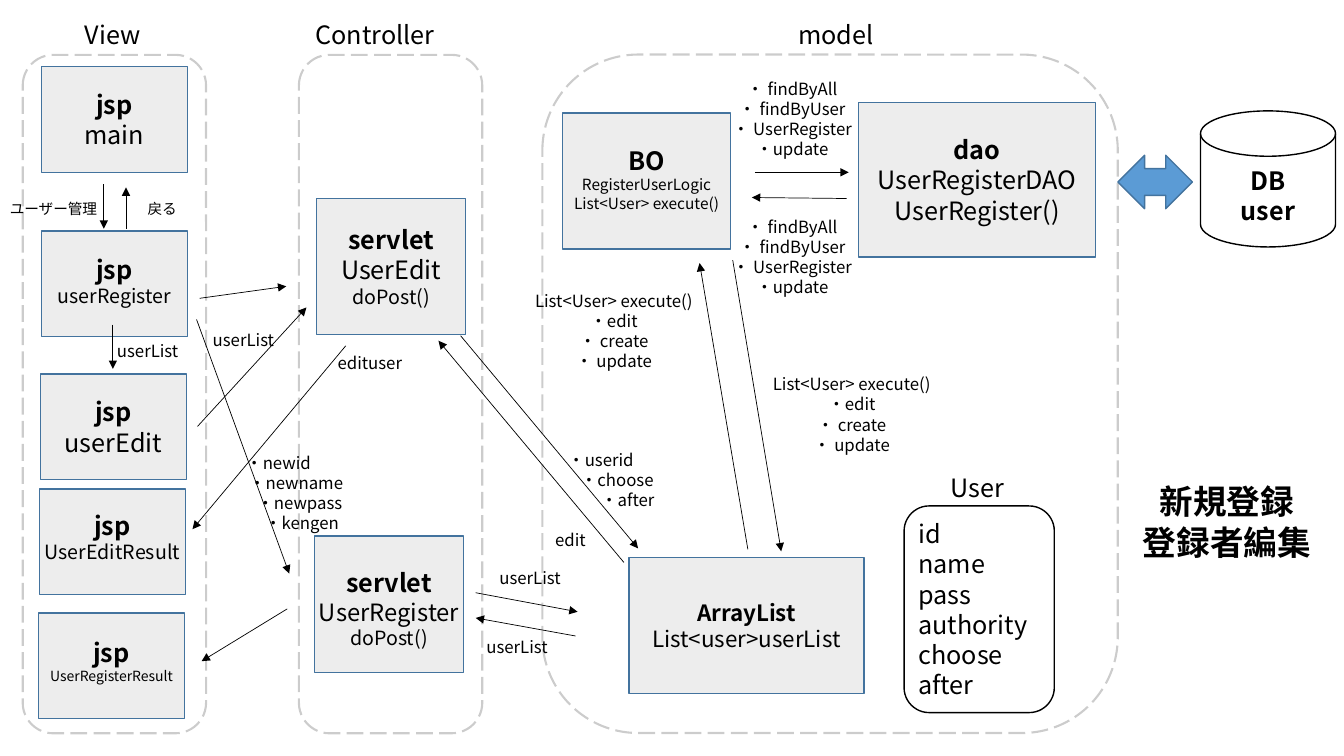
from lxml.etree import SubElement
from pptx import Presentation
from pptx.dml.color import RGBColor
from pptx.enum.dml import MSO_LINE
from pptx.enum.shapes import MSO_CONNECTOR, MSO_SHAPE
from pptx.enum.text import MSO_ANCHOR, PP_ALIGN
from pptx.oxml.ns import qn
from pptx.util import Pt

FONT = "Noto Sans CJK JP"
BLACK, GREY, BLUE, EDGE = "000000", "EDEDED", "5B9BD5", "43739E"
LINE_RATIO = 1.2
FRAME = {"margin_left": 0, "margin_right": 0, "margin_top": 0, "margin_bottom": 0,
         "word_wrap": True}
DAO_CALLS = ["・ findByAll", "・ findByUser", "・ UserRegister", "・update"]
LOGIC_CALLS = ["List<User> execute()", "・edit", "・ create", "・ update"]

ARROWS = [
    (74.2, 131.8, 74.2, 163.4), (90, 163.4, 90, 133.9), (80.6, 231.8, 80.6, 263.5),
    (142.6, 213.1, 204.5, 204.5), (140.4, 228.2, 206.6, 409.7), (141.1, 304.6, 218.9, 219.6),
    (247, 247, 137.5, 378), (205.2, 434.9, 144, 472.3), (339.8, 423.4, 412.6, 437),
    (411.1, 454.3, 339.8, 441.4), (445.7, 401.8, 313.2, 243.4), (329, 239.8, 455.8, 391.7),
    (534.2, 392.4, 499.7, 187.9), (523.4, 185.8, 558, 393.8), (539.3, 123.1, 606.2, 123.1),
    (604.8, 141.8, 537.1, 141.1),
]
LABELS = [
    (38.2, 142.6, 10.5, ["ユーザー管理"]), (115.9, 142.6, 10.5, ["戻る"]),
    (105.5, 243.4, 12, ["userList"]), (173.9, 235.4, 12, ["userList"]),
    (264.2, 252, 12, ["edituser"]), (378.7, 405.4, 12, ["userList"]),
    (369.4, 455, 12, ["userList"]), (407.5, 378.7, 12, ["edit"]),
    (565.9, 56.2, 12, DAO_CALLS), (565.9, 154.8, 12, DAO_CALLS),
    (438.5, 207.4, 12, LOGIC_CALLS), (608.4, 267.1, 12, LOGIC_CALLS),
]
STEPPED_LABELS = [
    (175.7, 323.3, [("・newid", 0), ("・newname", 2), ("・newpass", 8), ("・kengen", 13.5)]),
    (405.7, 321.1, [("・userid", 0), ("・choose", 9), ("・after", 23.5)]),
]


def color(value):
    """Turn a hex string into a colour."""
    return RGBColor.from_string(value)


def apply(target, formats):
    """Set every format value on the target."""
    for key, value in formats.items():
        setattr(target, key, value)


def write(frame, lines, align=PP_ALIGN.CENTER, **formats):
    """Fill a text frame with lines of (text, size, bold, indent)."""
    apply(frame, {**FRAME, **formats})
    for index, (text, size, bold, indent) in enumerate(lines):
        paragraph = frame.add_paragraph() if index else frame.paragraphs[0]
        apply(paragraph, {"alignment": align, "line_spacing": Pt(LINE_RATIO * size),
                          "space_before": Pt(0), "space_after": Pt(0)})
        if indent:
            paragraph._p.get_or_add_pPr().set("marL", str(Pt(indent)))
        run = paragraph.add_run()
        run.text = text
        apply(run.font, {"name": FONT, "size": Pt(size), "bold": bold})
        run.font.color.rgb = color(BLACK)
        SubElement(run._r.get_or_add_rPr(), qn("a:ea"), typeface=FONT)


def plain(texts, size):
    """Make regular lines of one size."""
    return [(text, size, False, 0) for text in texts]


def add_box(slide, kind, bounds, fill=None, edge=BLACK, width=1):
    """Add a preset shape with a flat fill and outline."""
    shape = slide.shapes.add_shape(kind, *map(Pt, bounds))
    shape.shadow.inherit = False
    if fill:
        shape.fill.solid()
        shape.fill.fore_color.rgb = color(fill)
    else:
        shape.fill.background()
    shape.line.color.rgb = color(edge)
    shape.line.width = Pt(width)
    return shape


def add_text(slide, bounds, lines, align=PP_ALIGN.CENTER):
    """Add a free text box."""
    write(slide.shapes.add_textbox(*map(Pt, bounds)).text_frame, lines, align)


def add_component(slide, bounds, heading, details, heading_size=18, lift=0):
    """Add a grey component with a bold heading and its details."""
    component = add_box(slide, MSO_SHAPE.RECTANGLE, bounds, GREY, EDGE)
    lines = [(heading, heading_size, True, 0)]
    lines += [(text, size, False, 0) for text, size in details]
    write(component.text_frame, lines, vertical_anchor=MSO_ANCHOR.MIDDLE,
          margin_bottom=Pt(2 * lift))


def add_layer(slide, box, name, name_left):
    """Add the dashed outline of a layer and its name above it."""
    left, top = box[:2]
    outline = add_box(slide, MSO_SHAPE.FLOWCHART_ALTERNATE_PROCESS, box, width=1.5)
    outline.line.dash_style = MSO_LINE.LONG_DASH
    tint = outline.line._ln.find(".//" + qn("a:srgbClr"))
    SubElement(tint, qn("a:alpha"), val="20000")
    add_text(slide, (left + name_left, top - 25.5, 110, 22), plain([name], 18), PP_ALIGN.LEFT)


def add_view(slide, box):
    """Place the JSP pages of the view layer."""
    left, top = box[:2]
    add_layer(slide, box, "View", 44.3)
    pages = [("main", 18, 13.3, 8.3, 0), ("userRegister", 14, 13.3, 125.7, 2),
             ("userEdit", 18, 12.6, 227.9, 0), ("UserEditResult", 14, 11.9, 310, 3.5),
             ("UserRegisterResult", 10, 11.2, 398.6, 3.5)]
    for name, size, x, y, lift in pages:
        add_component(slide, (left + x, top + y, 104.4, 75.6), "jsp", [(name, size)], lift=lift)


def add_controller(slide, box):
    """Place the servlets of the controller layer."""
    left, top = box[:2]
    add_layer(slide, box, "Controller", 11.9)
    for name, size, x, y, lift in [("UserEdit", 18, 12.6, 102.6, 0),
                                   ("UserRegister", 17, 11.1, 343.8, -3)]:
        add_component(slide, (left + x, top + y, 106.6, 97.2), "servlet",
                      [(name, size), ("doPost()", 14)], lift=lift)


def add_model(slide, box):
    """Place the logic, the data access and the user entity of the model layer."""
    left, top = box[:2]
    add_layer(slide, box, "model", 182.8)
    add_component(slide, (left + 14.4, top + 41.6, 120.2, 97.2), "BO",
                  [("RegisterUserLogic", 11), ("List<User> execute()", 11)], lift=1.5)
    add_component(slide, (left + 226, top + 34.4, 169.2, 110.2), "dao",
                  [("UserRegisterDAO", 18), ("UserRegister()", 18)])
    add_component(slide, (left + 61.9, top + 359.2, 167.8, 97.2), "ArrayList",
                  [("List<user>userList", 16)], heading_size=16)
    add_text(slide, (left + 258.4, top + 298.7, 105.2, 22), plain(["User"], 18))
    user = add_box(slide, MSO_SHAPE.ROUNDED_RECTANGLE, (left + 258.4, top + 322.4, 107.3, 147.6))
    fields = ["id", "name", "pass", "authority", "choose", "after"]
    write(user.text_frame, plain(fields, 18), PP_ALIGN.LEFT,
          vertical_anchor=MSO_ANCHOR.MIDDLE, margin_left=Pt(5))


def add_database(slide, box):
    """Place the database and the two-way arrow leading to it."""
    left, top, width, height = box
    add_box(slide, MSO_SHAPE.LEFT_RIGHT_ARROW, (left, top + 31.7, 53.3, 38.2), BLUE, EDGE)
    disk = add_box(slide, MSO_SHAPE.FLOWCHART_MAGNETIC_DISK,
                   (left + 59, top, width - 59, height), "FFFFFF")
    write(disk.text_frame, [("DB", 18, True, 0), ("user", 18, True, 0)],
          vertical_anchor=MSO_ANCHOR.MIDDLE, margin_top=Pt(7))


def add_flows(slide, box):
    """Draw the calls between components and their labels."""
    left, top = box[:2]
    for x1, y1, x2, y2 in ARROWS:
        ends = (left + x1, top + y1, left + x2, top + y2)
        arrow = slide.shapes.add_connector(MSO_CONNECTOR.STRAIGHT, *map(Pt, ends))
        arrow.line.color.rgb = color(BLACK)
        arrow.line.width = Pt(0.5)
        SubElement(arrow.line._ln, qn("a:tailEnd"), type="triangle")
        SubElement(arrow._element.spPr, qn("a:effectLst"))
    for center, y, size, texts in LABELS:
        bounds = (left + center - 70, top + y, 140, len(texts) * size * LINE_RATIO)
        add_text(slide, bounds, plain(texts, size))
    for x, y, steps in STEPPED_LABELS:
        lines = [(text, 12, False, indent) for text, indent in steps]
        bounds = (left + x, top + y, 90, len(lines) * 12 * LINE_RATIO)
        add_text(slide, bounds, lines, PP_ALIGN.LEFT)


def add_title(slide, box):
    """Move the title into its box and fill it."""
    title = slide.shapes.title
    apply(title, dict(zip(("left", "top", "width", "height"), map(Pt, box))))
    write(title.text_frame, [("新規登録", 24, True, 0), ("登録者編集", 24, True, 0)],
          vertical_anchor=MSO_ANCHOR.MIDDLE)


def main():
    """Build the slide and save it."""
    deck = Presentation()
    apply(deck, {"slide_width": Pt(960), "slide_height": Pt(540)})
    slide = deck.slides.add_slide(deck.slide_layouts[5])
    add_title(slide, (792.7, 339.8, 167.3, 65.5))
    add_view(slide, (16.2, 39.2, 131, 484.6))
    add_controller(slide, (213.5, 39.2, 131, 484.6))
    add_model(slide, (387.4, 39, 411, 484.6))
    add_database(slide, (798.5, 79.2, 155.5, 97.2))
    add_flows(slide, (0, 0, 960, 540))
    deck.save("out.pptx")


main()
